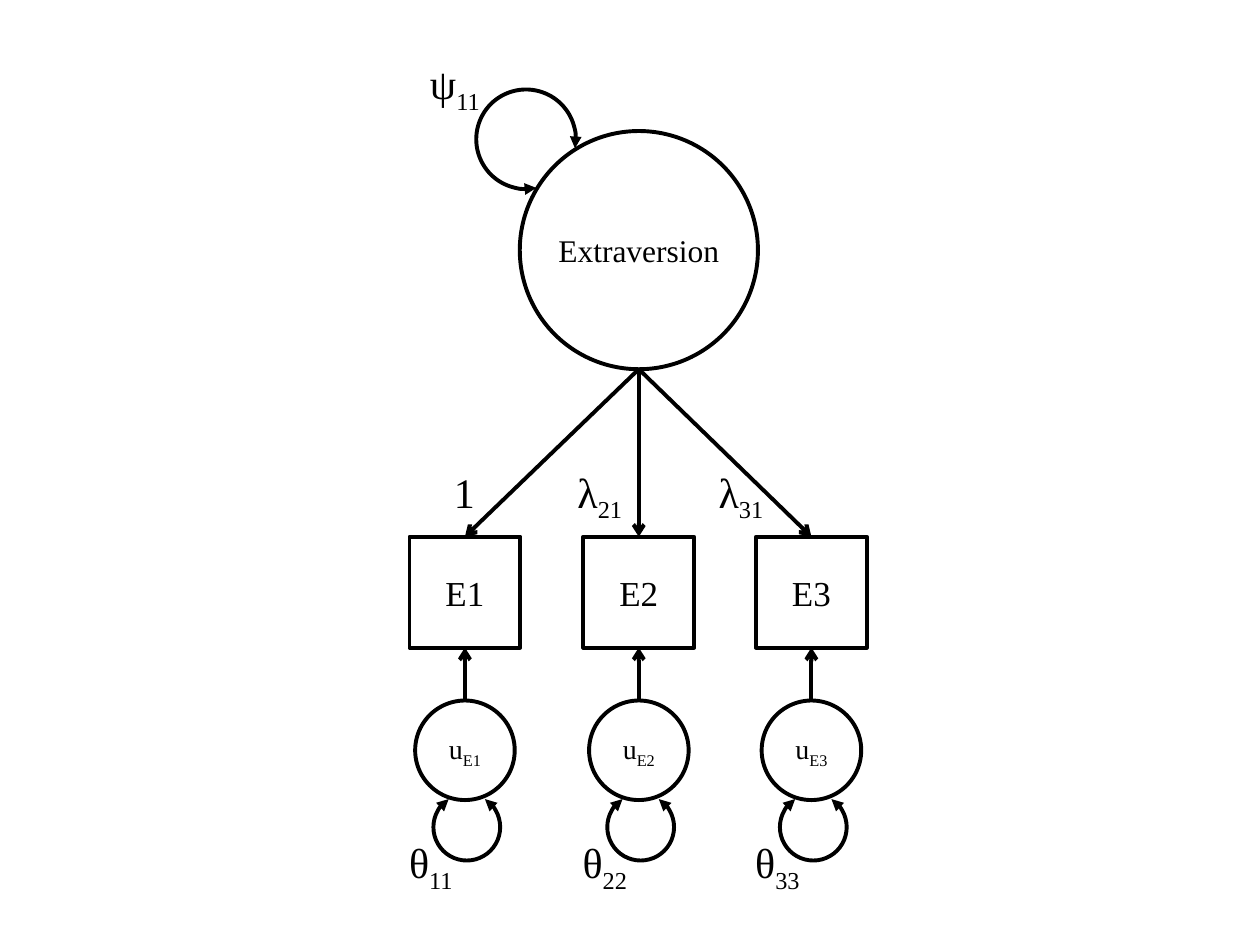
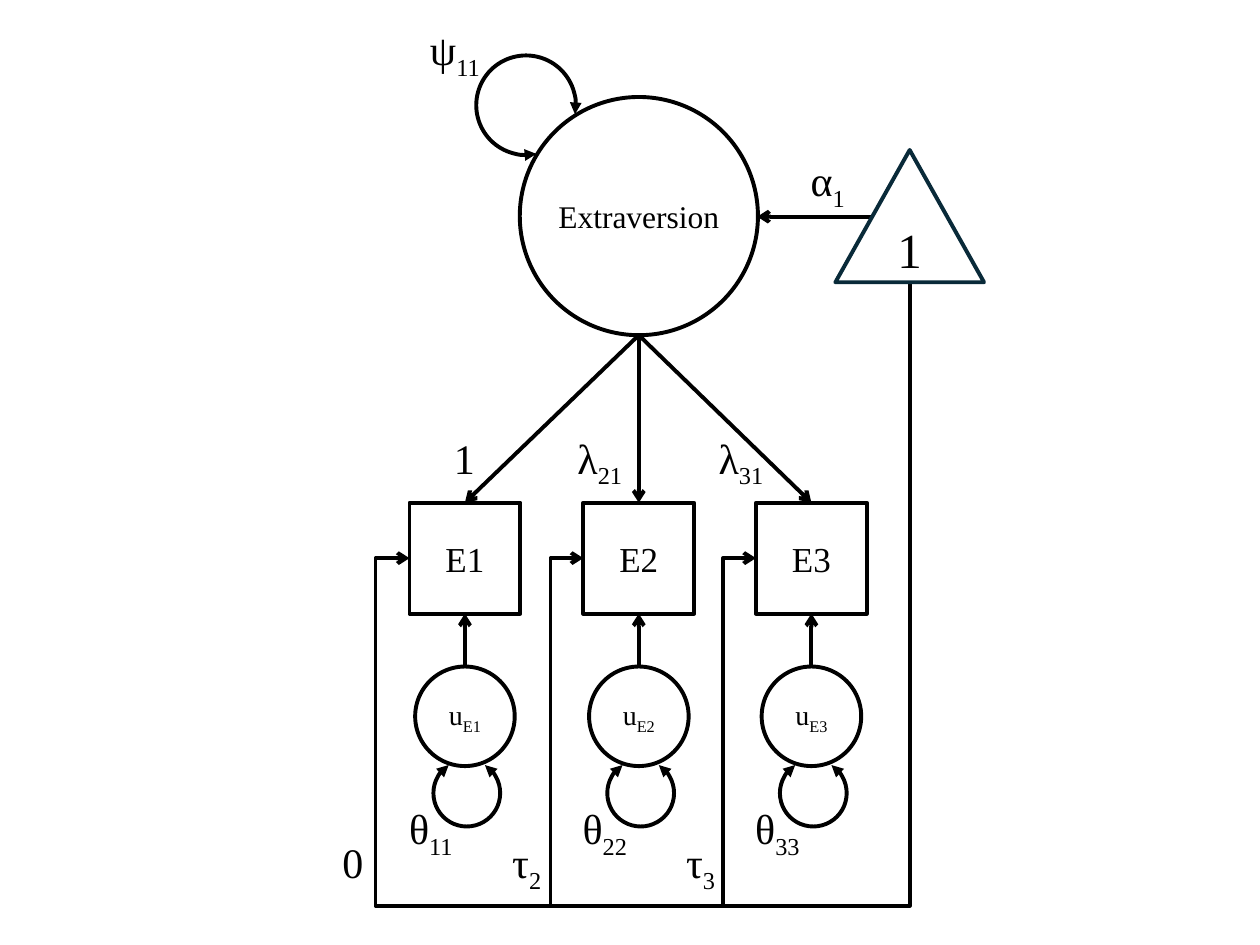
"""Build two path diagrams of a one-factor model, without and with means."""
from pptx import Presentation
from pptx.dml.color import RGBColor
from pptx.enum.shapes import MSO_CONNECTOR, MSO_SHAPE
from pptx.enum.text import MSO_ANCHOR, MSO_AUTO_SIZE, PP_ALIGN
from pptx.oxml.ns import qn
from pptx.oxml.xmlchemy import OxmlElement
from pptx.util import Inches, Pt

STRAIGHT, ELBOW = MSO_CONNECTOR.STRAIGHT, MSO_CONNECTOR.ELBOW
ARC, ELLIPSE = MSO_SHAPE.ARC, MSO_SHAPE.OVAL
RECT, TRIANGLE = MSO_SHAPE.RECTANGLE, MSO_SHAPE.ISOSCELES_TRIANGLE
MIDDLE, CENTER = MSO_ANCHOR.MIDDLE, PP_ALIGN.CENTER
FIT_SHAPE = MSO_AUTO_SIZE.SHAPE_TO_FIT_TEXT

COLORS = {"ink": "000000", "paper": "FFFFFF", "triangle": "092A39"}
FONT = "Times New Roman"
LINE_WIDTH = 2.25
CENTERS = (3.69, 5.07, 6.44)
FACTOR_X, FACTOR_SIZE = 5.07, 1.89
SQUARE, ERROR, LOOP = 0.88, 0.79, 0.53
SQUARE_TOP = 4.26
MEANS_SHIFT = -0.27
BUS_Y = 7.19


def rgb(name):
    """Return the named colour."""
    return RGBColor.from_string(COLORS[name])


def write(tf, text, sub="", size=24, color="ink"):
    """Write centred text with an optional subscript."""
    tf.word_wrap = True
    p = tf.paragraphs[0]
    p.alignment = CENTER
    for part, baseline in ((text, None), (sub, "-25000")):
        if not part:
            continue
        r = p.add_run()
        r.text = part
        r.font.name = FONT
        r.font.size = Pt(size)
        r.font.color.rgb = rgb(color)
        if baseline:
            r._r.get_or_add_rPr().set("baseline", baseline)


def set_line(sp, color="ink", head=None, tail=None):
    """Set the line colour, width and arrowheads."""
    sp.line.color.rgb = rgb(color)
    sp.line.width = Pt(LINE_WIDTH)
    for tag, kind in (("a:headEnd", head), ("a:tailEnd", tail)):
        if kind:
            end = OxmlElement(tag)
            end.set("type", kind)
            sp.line._get_or_add_ln().append(end)


def add_node(shapes, kind, x, y, w, h, text, sub="", size=20, line="ink", side_inset=0.1):
    """Add a white outlined shape with centred text."""
    sp = shapes.add_shape(kind, Inches(x), Inches(y), Inches(w), Inches(h))
    sp.shadow.inherit = False
    sp.fill.solid()
    sp.fill.fore_color.rgb = rgb("paper")
    set_line(sp, line)
    tf = sp.text_frame
    tf.vertical_anchor = MIDDLE
    tf.margin_left = tf.margin_right = Inches(side_inset)
    write(tf, text, sub, size=size)
    return sp


def add_label(shapes, x, y, w, text, sub=""):
    """Add a parameter label."""
    tf = shapes.add_textbox(Inches(x), Inches(y), Inches(w), Inches(0.5)).text_frame
    tf.auto_size = FIT_SHAPE
    write(tf, text, sub)


def add_loop(shapes, x, y, size, start, end, rotation=0):
    """Add a double-headed variance arc."""
    sp = shapes.add_shape(ARC, Inches(x), Inches(y), Inches(size), Inches(size))
    sp.shadow.inherit = False
    sp.fill.background()
    sp.adjustments[0], sp.adjustments[1] = start, end
    sp.rotation = rotation
    set_line(sp, head="triangle", tail="triangle")


def add_line(shapes, begin, end, kind=STRAIGHT, head=None, tail="arrow"):
    """Add a connector between two points."""
    c = shapes.add_connector(kind, *(Inches(v) for v in (*begin, *end)))
    set_line(c, head=head, tail=tail)
    c._element.spPr.append(OxmlElement("a:effectLst"))
    return c


def set_bend(c, preset, adjustments=()):
    """Give an elbow connector its preset and bend positions."""
    geom = c._element.spPr.find(qn("a:prstGeom"))
    geom.set("prst", preset)
    guides = geom.find(qn("a:avLst"))
    for i, value in enumerate(adjustments, 1):
        guide = OxmlElement("a:gd")
        guide.set("name", f"adj{i}")
        guide.set("fmla", f"val {round(value * 100000)}")
        guides.append(guide)


def add_bus(shapes, begin, end, bottom, left):
    """Add an arrow running down, along the bottom and up to its end."""
    (x1, y1), (x2, y2) = begin, end
    drop, span = y2 - y1, x1 - x2
    mid_x, mid_y = (x1 + x2) / 2, (y1 + y2) / 2
    c = add_line(shapes, (mid_x - drop / 2, mid_y - span / 2),
                 (mid_x + drop / 2, mid_y + span / 2), kind=ELBOW)
    c._element.spPr.find(qn("a:xfrm")).set("rot", str(90 * 60000))
    set_bend(c, "bentConnector4", ((bottom - y1) / drop, (x1 - left) / span))


def add_indicator(shapes, number, x, dy, factor_bottom):
    """Add an observed variable with its loading, error and variance."""
    top = SQUARE_TOP + dy
    error_top = top + 1.3
    square = add_node(shapes, RECT, x - SQUARE / 2, top, SQUARE, SQUARE, f"E{number}")
    loading = add_line(shapes, (FACTOR_X, factor_bottom), (x, top))
    loading.end_connect(square, 0)
    error = add_node(shapes, ELLIPSE, x - ERROR / 2, error_top, ERROR, ERROR,
                     "u", f"E{number}", size=16)
    path = add_line(shapes, (x, error_top), (x, top + SQUARE))
    path.begin_connect(error, 0)
    path.end_connect(square, 2)
    add_loop(shapes, x - 0.25, top + 2.04, LOOP, 181.77, 142.28)
    add_label(shapes, x - 0.58, top + 2.33, 0.62, "θ", f"{number}{number}")


def add_factor_model(s, dy=0):
    """Add the factor and its three indicators as a group."""
    shapes = s.shapes.add_group_shape().shapes
    factor_top = 1.04 + dy
    add_node(shapes, ELLIPSE, FACTOR_X - FACTOR_SIZE / 2, factor_top, FACTOR_SIZE,
             FACTOR_SIZE, "Extraversion", size=18, side_inset=0)
    add_loop(shapes, 3.78, 0.71 + dy, 0.79, 181.77, 141.27, rotation=135)
    add_label(shapes, 3.25, 0.41 + dy, 0.72, "ψ", "11")
    for number, x in enumerate(CENTERS, 1):
        add_indicator(shapes, number, x, dy, factor_top + FACTOR_SIZE)
    for x, w, text, sub in ((3.46, 0.45, "1", ""), (4.4, 0.72, "λ", "21"),
                            (5.52, 0.72, "λ", "31")):
        add_label(shapes, x, 3.65 + dy, w, text, sub)


def add_means(s, dy):
    """Add the constant with its paths to the factor and indicators."""
    shapes = s.shapes
    square_mid = SQUARE_TOP + dy + SQUARE / 2
    lefts = [x - SQUARE / 2 for x in CENTERS]
    add_bus(shapes, (7.22, 2.25), (lefts[0], square_mid), BUS_Y, 2.98)
    add_line(shapes, (6.92, 1.72), (6.01, 1.72))
    add_label(shapes, 6.21, 1.18, 0.72, "α", "1")
    for i, (text, sub) in enumerate((("0", ""), ("τ", "2"), ("τ", "3"))):
        add_label(shapes, 2.54 + 1.38 * i, 6.59, 0.52, text, sub)
    add_node(shapes, TRIANGLE, 6.63, 1.19, 1.18, 1.05, "1", size=28, line="triangle")
    for left in lefts[1:]:
        c = add_line(shapes, (left, square_mid), (left - 0.26, BUS_Y),
                     kind=ELBOW, head="arrow", tail=None)
        set_bend(c, "bentConnector2")


def main():
    """Build and save both slides."""
    prs = Presentation()
    prs.slide_width, prs.slide_height = Inches(10), Inches(7.5)
    blank = prs.slide_layouts[6]
    add_factor_model(prs.slides.add_slide(blank))
    s = prs.slides.add_slide(blank)
    add_factor_model(s, MEANS_SHIFT)
    add_means(s, MEANS_SHIFT)
    prs.save("out.pptx")


if __name__ == "__main__":
    main()
